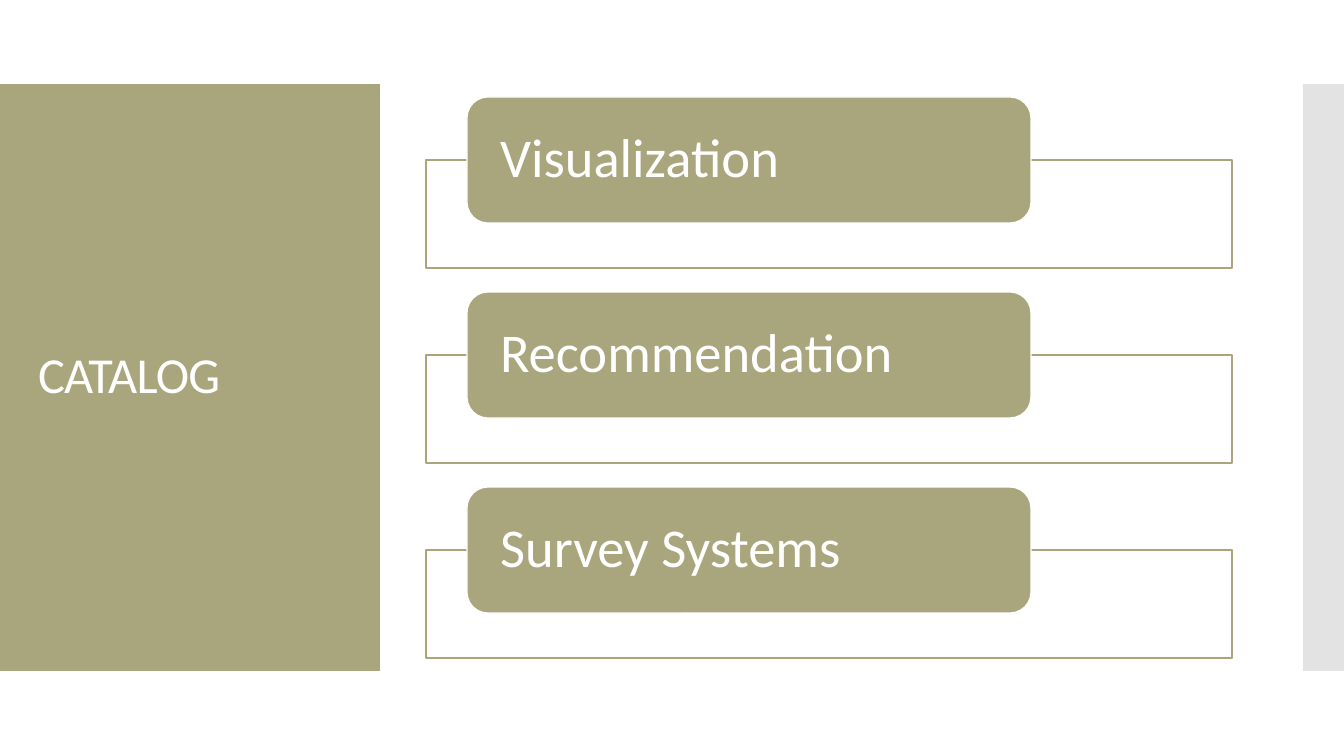
from pptx import Presentation
from pptx.dml.color import RGBColor
from pptx.enum.shapes import MSO_SHAPE as Shape
from pptx.enum.text import MSO_ANCHOR as Anchor, PP_ALIGN as Align
from pptx.util import Pt

SCALE = 914400 / 100.8
OLIVE, WHITE, GREY = "A9A57C", "FFFFFF", "E3E3E3"


def add_block(kind, box, fill, line=None):
    shape = slide.shapes.add_shape(kind, *[round(value * SCALE) for value in box])
    shape.shadow.inherit = False
    shape.fill.solid()
    shape.fill.fore_color.rgb = RGBColor.from_string(fill)
    if line:
        shape.line.color.rgb = RGBColor.from_string(line)
        shape.line.width = Pt(0.85)
    else:
        shape.line.fill.background()
    return shape


def set_text(shape, text, size, inset):
    frame = shape.text_frame
    frame.word_wrap = True
    frame.vertical_anchor = Anchor.MIDDLE
    frame.margin_left = frame.margin_right = round(inset * SCALE)
    frame.margin_top = frame.margin_bottom = 0
    paragraph = frame.paragraphs[0]
    paragraph.text = text
    paragraph.alignment = Align.LEFT
    paragraph.line_spacing = 0.9
    paragraph.font.name = "Calibri"
    paragraph.font.size = Pt(size)
    paragraph.font.color.rgb = RGBColor.from_string(WHITE)
    return paragraph


presentation = Presentation()
presentation.slide_width = round(1344 * SCALE)
presentation.slide_height = round(756 * SCALE)
slide = presentation.slides.add_slide(presentation.slide_layouts[6])

add_block(Shape.RECTANGLE, (0, 84, 380, 587), OLIVE)
add_block(Shape.RECTANGLE, (1303, 84, 41, 587), GREY)

title_box = slide.shapes.add_textbox(*[round(value * SCALE) for value in (28, 124, 325, 507)])
title = set_text(title_box, "CATALOG", 36, 10)
title.runs[0].font._element.set("spc", "-60")

for row, topic in enumerate(["Visualization", "Recommendation", "Survey Systems"]):
    top = 97 + 195 * row
    add_block(Shape.RECTANGLE, (426, top + 63, 806, 108), WHITE, OLIVE)
    topic_box = add_block(Shape.ROUNDED_RECTANGLE, (467, top, 564, 126), OLIVE, WHITE)
    set_text(topic_box, topic, 39, 27)

presentation.save("out.pptx")
